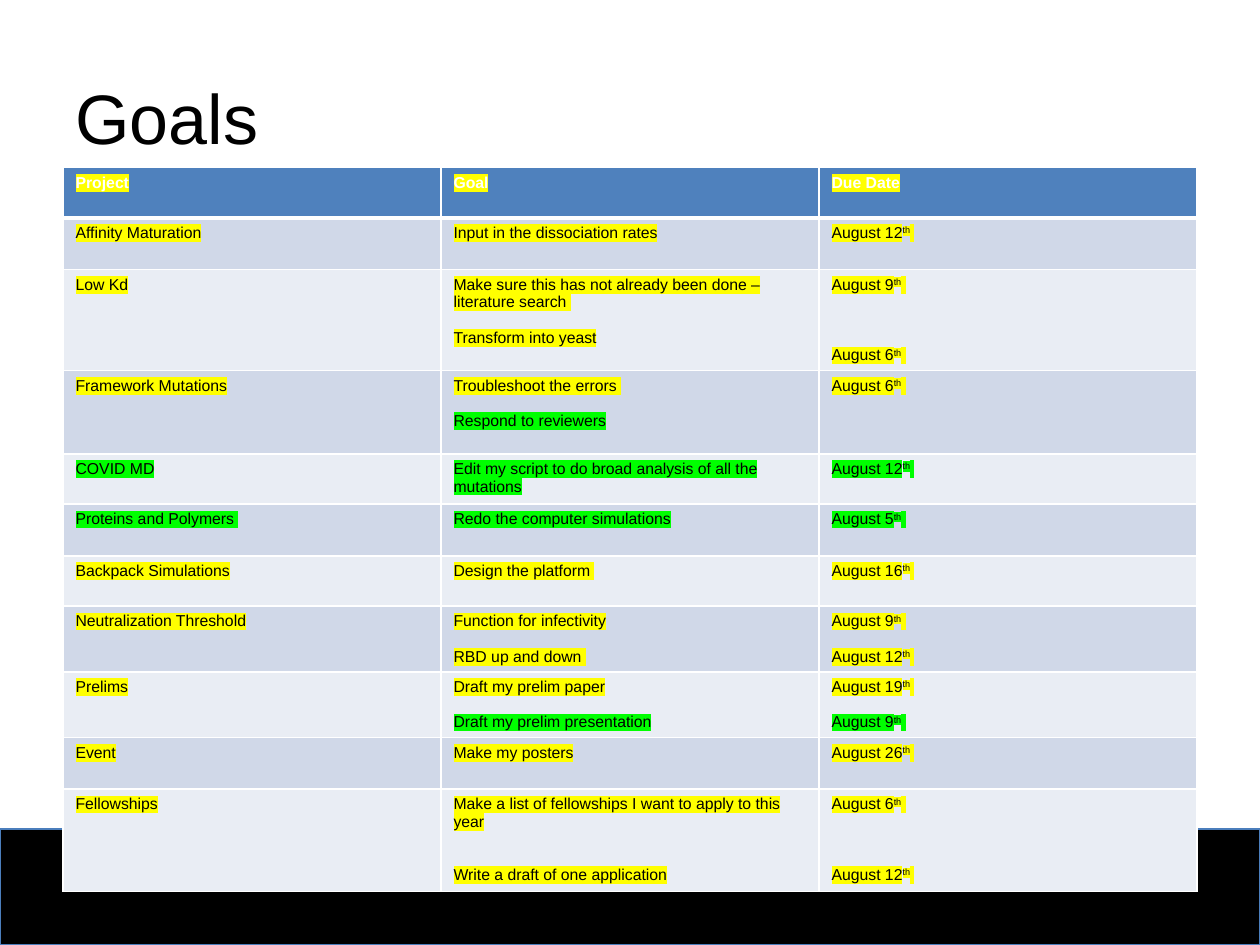
from dataclasses import dataclass

from lxml import etree
from pptx import Presentation
from pptx.dml.color import RGBColor
from pptx.enum.shapes import MSO_SHAPE
from pptx.enum.text import MSO_ANCHOR
from pptx.oxml.ns import qn
from pptx.util import Inches, Pt

RECT = MSO_SHAPE.RECTANGLE
MIDDLE = MSO_ANCHOR.MIDDLE


@dataclass(frozen=True)
class Theme:
    font: str = "Arial"
    title_size: float = 40
    table_size: float = 9
    line_height: float = 10.1
    white: str = "FFFFFF"
    black: str = "000000"
    footer_line: str = "4B7EBC"
    header: str = "4F81BD"
    bands: tuple = ("D0D8E8", "E9EDF4")
    open_mark: str = "FFFF00"
    done_mark: str = "00FF00"


@dataclass(frozen=True)
class Item:
    """One entry in a cell: gap counts the lines left free above it."""
    text: str
    gap: int = 0
    done: bool = False
    ordinal: bool = False


def date(day, gap=0, done=False):
    return Item(f"August {day}", gap, done, ordinal=True)


class SlideBuilder:
    def __init__(self, slide, theme):
        self.s = slide
        self.theme = theme

    def style_run(self, r, size, color, bold=False, mark=None):
        r.font.name = self.theme.font
        r.font.size = Pt(size)
        r.font.bold = bold
        r.font.color.rgb = RGBColor.from_string(color)
        if mark:
            highlight = etree.Element(qn("a:highlight"))
            etree.SubElement(highlight, qn("a:srgbClr"), val=mark)
            r.font._element.find(qn("a:solidFill")).addnext(highlight)

    def bar(self, x, y, w, h, fill, line):
        sp = self.s.shapes.add_shape(RECT, Inches(x), Inches(y), Inches(w), Inches(h))
        sp.shadow.inherit = False
        sp.fill.solid()
        sp.fill.fore_color.rgb = RGBColor.from_string(fill)
        sp.line.color.rgb = RGBColor.from_string(line)
        sp.line.width = Pt(0.75)

    def title(self, text, x, y, w, h):
        sp = self.s.shapes.add_textbox(Inches(x), Inches(y), Inches(w), Inches(h))
        tf = sp.text_frame
        tf.word_wrap = True
        tf.vertical_anchor = MIDDLE
        tf.text = text
        self.style_run(tf.paragraphs[0].runs[0], self.theme.title_size, self.theme.black)

    def borders(self, cell, top, bottom):
        tc_pr = cell._tc.get_or_add_tcPr()
        sides = (("lnL", 1), ("lnR", 1), ("lnT", top), ("lnB", bottom))
        for i, (side, width) in enumerate(sides):
            ln = etree.Element(qn(f"a:{side}"), w=str(Pt(width)))
            fill = etree.SubElement(ln, qn("a:solidFill"))
            etree.SubElement(fill, qn("a:srgbClr"), val=self.theme.white)
            tc_pr.insert(i, ln)

    def cell(self, cell, items, fill, color, bold=False):
        t = self.theme
        cell.margin_bottom = Inches(0.03)
        cell.fill.solid()
        cell.fill.fore_color.rgb = RGBColor.from_string(fill)
        tf = cell.text_frame
        for i, item in enumerate(items):
            p = tf.add_paragraph() if i else tf.paragraphs[0]
            p.text = item.text
            p.space_before = Pt(item.gap * t.line_height)
            if item.ordinal:
                suffix = p.add_run()
                suffix.text = "th"
                suffix.font._element.set("baseline", "30000")
                p.add_run().text = " "
            for r in p.runs:
                self.style_run(r, t.table_size, color, bold,
                               t.done_mark if item.done else t.open_mark)

    def table(self, headings, rows, x, y, w, heights):
        t = self.theme
        frame = self.s.shapes.add_table(len(rows) + 1, len(headings), Inches(x), Inches(y),
                                        Inches(w), Inches(sum(heights)))
        table = frame.table
        table.horz_banding = False
        for row, height in zip(table.rows, heights):
            row.height = Inches(height)
        for col, heading in enumerate(headings):
            cell = table.cell(0, col)
            self.cell(cell, [Item(heading)], t.header, t.white, bold=True)
            self.borders(cell, top=1, bottom=3)
        for i, row in enumerate(rows, start=1):
            for col, items in enumerate(row):
                cell = table.cell(i, col)
                self.cell(cell, items, t.bands[(i - 1) % 2], t.black)
                self.borders(cell, top=3 if i == 1 else 1, bottom=1)


# Goals: project, tasks, due dates
HEADINGS = ("Project", "Goal", "Due Date")
GOALS = [
    ([Item("Affinity Maturation")], [Item("Input in the dissociation rates")], [date(12)]),
    ([Item("Low Kd")],
     [Item("Make sure this has not already been done – literature search "),
      Item("Transform into yeast", gap=1)],
     [date(9), date(6, gap=3)]),
    ([Item("Framework Mutations")],
     [Item("Troubleshoot the errors "), Item("Respond to reviewers", gap=1, done=True)],
     [date(6)]),
    ([Item("COVID MD", done=True)],
     [Item("Edit my script to do broad analysis of all the mutations", done=True)],
     [date(12, done=True)]),
    ([Item("Proteins and Polymers ", done=True)],
     [Item("Redo the computer simulations", done=True)],
     [date(5, done=True)]),
    ([Item("Backpack Simulations")], [Item("Design the platform ")], [date(16)]),
    ([Item("Neutralization Threshold")],
     [Item("Function for infectivity"), Item("RBD up and down ", gap=1)],
     [date(9), date(12, gap=1)]),
    ([Item("Prelims")],
     [Item("Draft my prelim paper"),
      Item("Draft my prelim presentation", gap=1, done=True)],
     [date(19), date(9, gap=1, done=True)]),
    ([Item("Event")], [Item("Make my posters")], [date(26)]),
    ([Item("Fellowships")],
     [Item("Make a list of fellowships I want to apply to this year"),
      Item("Write a draft of one application", gap=2)],
     [date(6), date(12, gap=3)]),
]
ROW_HEIGHTS = [0.4, 0.41, 0.8, 0.66, 0.4, 0.41, 0.4, 0.52, 0.52, 0.41, 0.8]


def main():
    prs = Presentation()
    prs.slide_width = Inches(10)
    prs.slide_height = Inches(7.5)
    theme = Theme()
    s = prs.slides.add_slide(prs.slide_layouts[6])
    builder = SlideBuilder(s, theme)

    # Footer bar
    builder.bar(0, 6.58, 10, 0.92, theme.black, theme.footer_line)
    # Title
    builder.title("Goals", 0.5, 0.3, 9, 1.25)
    # Goals table
    builder.table(HEADINGS, GOALS, 0.5, 1.33, 9, ROW_HEIGHTS)

    prs.save("out.pptx")


if __name__ == "__main__":
    main()
